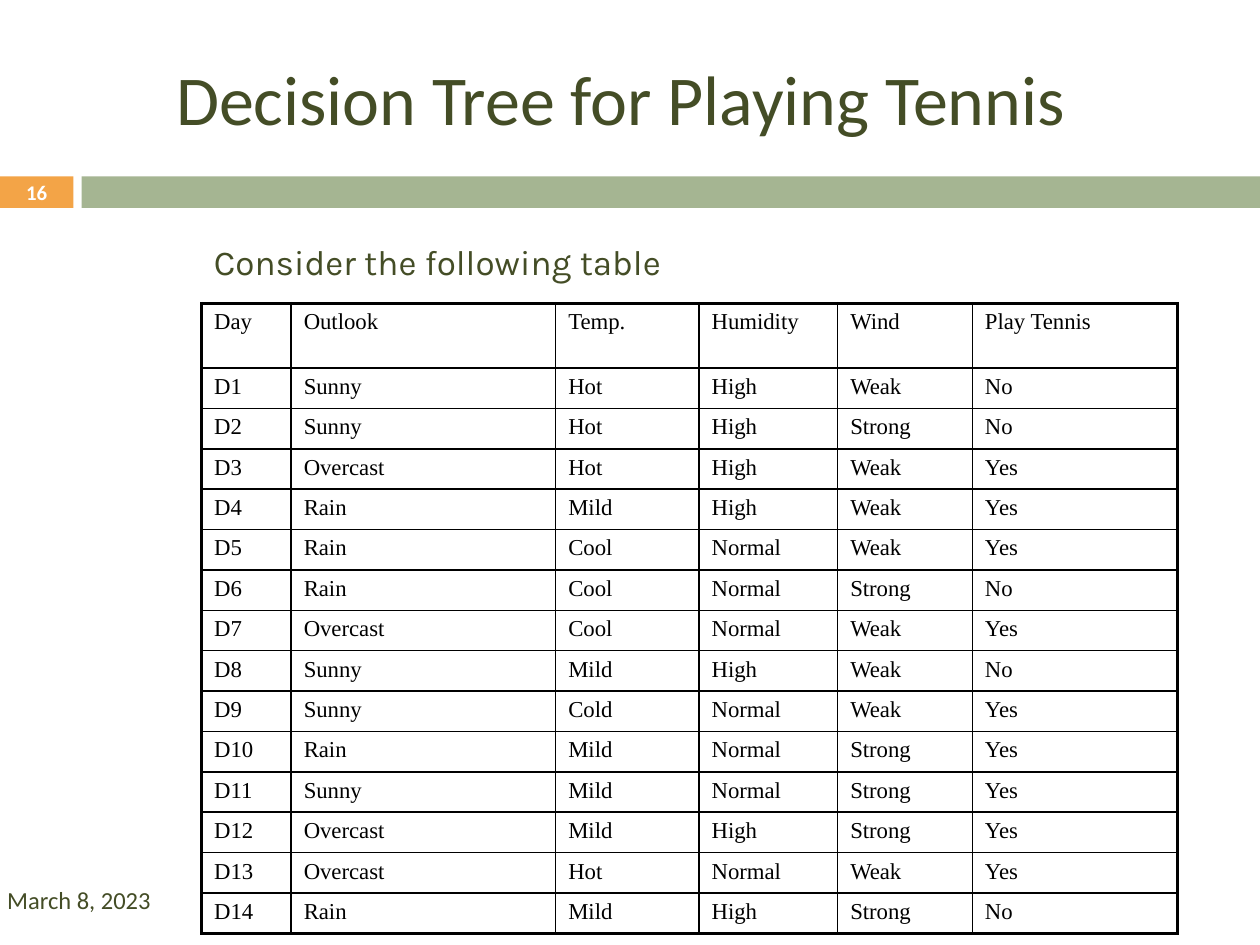
import pptx
import pptx.util
import pptx.dml.color
import pptx.enum.shapes
import pptx.enum.text
import lxml.etree

Pt = pptx.util.Pt
RGB = pptx.dml.color.RGBColor
ALIGN = pptx.enum.text.PP_ALIGN
ANCHOR = pptx.enum.text.MSO_ANCHOR

ORANGE = RGB(0xF3, 0xA4, 0x47)
SAGE = RGB(0xA5, 0xB5, 0x92)
OLIVE = RGB(0x44, 0x4D, 0x26)
WHITE = RGB(0xFF, 0xFF, 0xFF)
BLACK = RGB(0, 0, 0)

BARS = [
    ((0, 100.8, 42, 18), ORANGE),
    ((46.6, 100.8, 673.4, 18), SAGE),
]
TEXTS = [
    ("Decision Tree for Playing Tennis", (93.6, 26, 601.2, 59), ANCHOR.MIDDLE, ALIGN.LEFT,
     {"size": Pt(40), "name": "Calibri", "color": OLIVE}),
    ("Consider the following table", (115.2, 134, 534, 31), ANCHOR.TOP, ALIGN.LEFT,
     {"size": Pt(20), "name": "Karla", "color": OLIVE}),
    ("March 8, 2023", (-3, 499.7, 210, 29), ANCHOR.MIDDLE, ALIGN.LEFT,
     {"size": Pt(14), "name": "Calibri", "color": OLIVE}),
    ("16", (0, 100.2, 42, 19.4), ANCHOR.MIDDLE, ALIGN.CENTER,
     {"size": Pt(11.9), "name": "Calibri", "color": WHITE, "bold": True}),
]
HEAD = ["Day", "Outlook", "Temp.", "Humidity", "Wind", "Play Tennis"]
DAYS = [
    ("Sunny", "Hot", "High", "Weak", "No"),
    ("Sunny", "Hot", "High", "Strong", "No"),
    ("Overcast", "Hot", "High", "Weak", "Yes"),
    ("Rain", "Mild", "High", "Weak", "Yes"),
    ("Rain", "Cool", "Normal", "Weak", "Yes"),
    ("Rain", "Cool", "Normal", "Strong", "No"),
    ("Overcast", "Cool", "Normal", "Weak", "Yes"),
    ("Sunny", "Mild", "High", "Weak", "No"),
    ("Sunny", "Cold", "Normal", "Weak", "Yes"),
    ("Rain", "Mild", "Normal", "Strong", "Yes"),
    ("Sunny", "Mild", "Normal", "Strong", "Yes"),
    ("Overcast", "Mild", "High", "Strong", "Yes"),
    ("Overcast", "Hot", "Normal", "Weak", "Yes"),
    ("Rain", "Mild", "High", "Strong", "No"),
]
ROWS = [HEAD] + [(f"D{n}", *day) for n, day in enumerate(DAYS, 1)]
WIDTHS = [51.2, 151.2, 81.9, 79.2, 77, 117]
HIGHS = [37] + [23.1] * len(DAYS)
GRID = (115.2, 173.3, sum(WIDTHS), sum(HIGHS))
CELL = {"size": Pt(13), "name": "Times New Roman", "color": BLACK}
INDENT = Pt(27)
THIN, THICK = 1, 2


def style(font, look):
    for key, value in look.items():
        if key == "color":
            font.color.rgb = value
        else:
            setattr(font, key, value)


def border(cell, side, width):
    props = cell._tc.get_or_add_tcPr()
    line = pptx.oxml.parse_xml(
        f'<a:{side} xmlns:a="http://schemas.openxmlformats.org/drawingml/2006/main" '
        f'w="{Pt(width)}"><a:solidFill><a:srgbClr val="{BLACK}"/></a:solidFill></a:{side}>')
    props.append(line)


deck = pptx.Presentation()
deck.slide_width, deck.slide_height = Pt(720), Pt(540)
slide = deck.slides.add_slide(deck.slide_layouts[6])
shapes = slide.shapes

for box, color in BARS:
    bar = shapes.add_shape(pptx.enum.shapes.MSO_SHAPE.RECTANGLE, *map(Pt, box))
    bar.shadow.inherit = False
    bar.fill.solid()
    bar.fill.fore_color.rgb = color
    bar.line.fill.background()

for words, box, anchor, align, look in TEXTS:
    frame = shapes.add_textbox(*map(Pt, box)).text_frame
    frame.word_wrap = True
    frame.vertical_anchor = anchor
    para = frame.paragraphs[0]
    para.alignment = align
    run = para.add_run()
    run.text = words
    style(run.font, look)

table = shapes.add_table(len(ROWS), len(HEAD), *map(Pt, GRID)).table
table.first_row = table.horz_banding = False
for col, width in zip(table.columns, WIDTHS):
    col.width = Pt(width)
for row, high in zip(table.rows, HIGHS):
    row.height = Pt(high)

for r, row in enumerate(ROWS):
    for c, words in enumerate(row):
        cell = table.cell(r, c)
        para = cell.text_frame.paragraphs[0]
        props = para._p.get_or_add_pPr()
        props.set("marL", str(INDENT))
        props.set("indent", str(-INDENT))
        run = para.add_run()
        run.text = words
        style(run.font, CELL)
        edges = {"lnL": c == 0, "lnR": c == len(HEAD) - 1,
                 "lnT": r == 0, "lnB": r == len(ROWS) - 1}
        for side, outer in edges.items():
            border(cell, side, THICK if outer else THIN)
        cell.fill.background()

deck.save("out.pptx")
